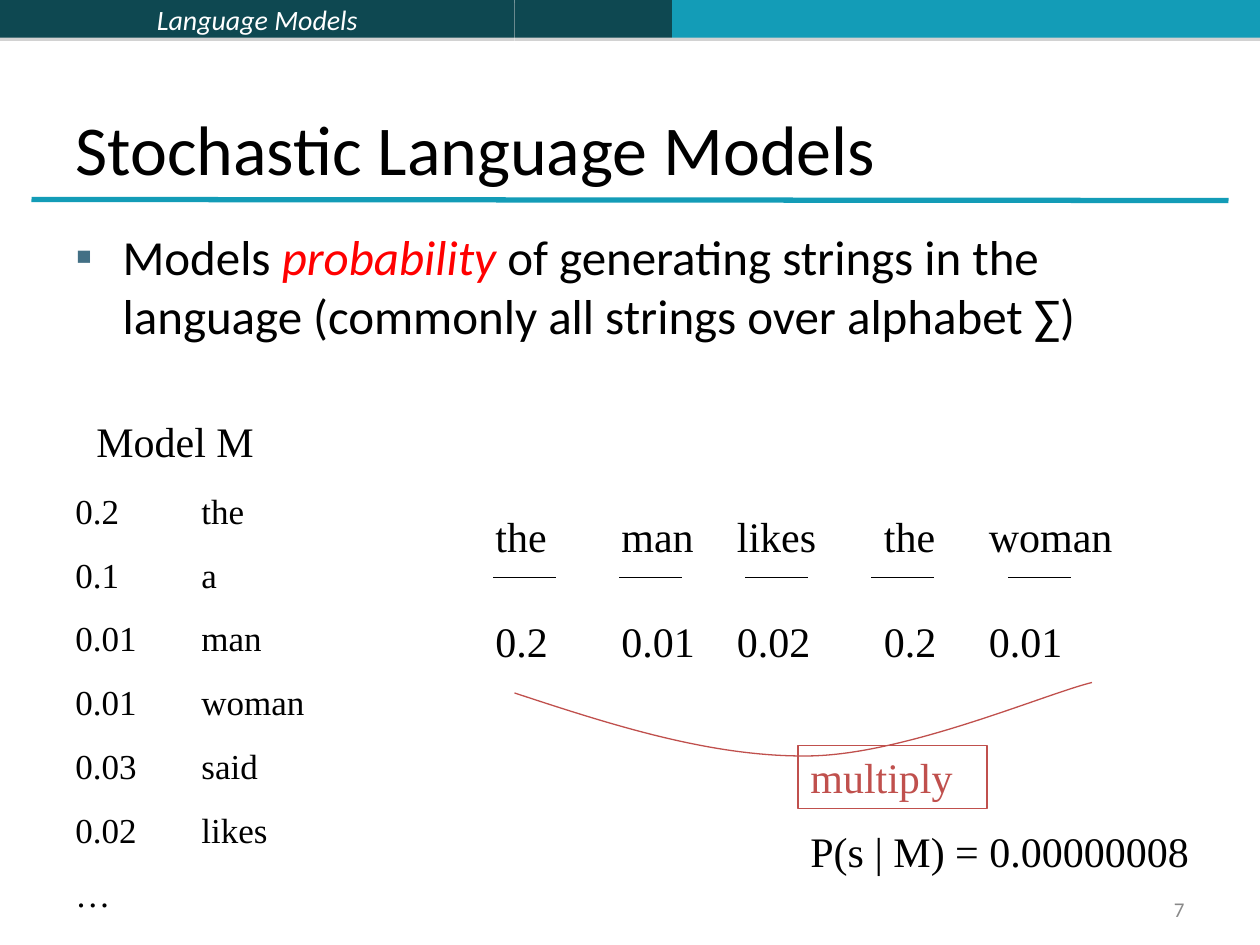
"""Build the slide on stochastic language models."""
from lxml import etree
from pptx import Presentation
from pptx.dml.color import RGBColor
from pptx.enum.shapes import MSO_CONNECTOR, MSO_SHAPE
from pptx.enum.text import MSO_ANCHOR, PP_ALIGN
from pptx.oxml.ns import qn
from pptx.util import Emu, Pt

EMU_PER_PX = 7620
RECTANGLE = MSO_SHAPE.RECTANGLE
STRAIGHT = MSO_CONNECTOR.STRAIGHT
LEFT, CENTER, RIGHT = PP_ALIGN.LEFT, PP_ALIGN.CENTER, PP_ALIGN.RIGHT
TOP, MIDDLE, BOTTOM = MSO_ANCHOR.TOP, MSO_ANCHOR.MIDDLE, MSO_ANCHOR.BOTTOM

BLACK = RGBColor(0x00, 0x00, 0x00)
WHITE = RGBColor(0xFF, 0xFF, 0xFF)
GRAY = RGBColor(0x89, 0x89, 0x89)
SHADOW = RGBColor(0x80, 0x80, 0x80)
DARK_TEAL = RGBColor(0x0E, 0x48, 0x51)
TEAL = RGBColor(0x13, 0x9C, 0xB7)
BULLET = RGBColor(0x43, 0x70, 0x85)
RED = RGBColor(0xFF, 0x00, 0x00)
BRICK = RGBColor(0xC0, 0x50, 0x4D)

SANS, SERIF = "Calibri", "Times New Roman"

HEADER_HEIGHT = 36
HEADER = [(490, DARK_TEAL, "Language Models"), (150, DARK_TEAL, ""), (560, TEAL, "")]
TITLE = "Stochastic Language Models"
BODY = [
    ("Models ", BLACK, False),
    ("probability", RED, True),
    (" of generating strings in the language (commonly all strings over alphabet ∑)", BLACK, False),
]
MODEL = [
    "0.2\tthe", "0.1\ta", "0.01\tman", "0.01\twoman", "0.03\tsaid", "0.02\tlikes", "…",
]
MODEL_TAB = 120
SENTENCE = [
    # left, width, word, probability, underline left
    (460, 80, "the", "0.2", 470),
    (580, 100, "man", "0.01", 590),
    (690, 100, "likes", "0.02", 710),
    (830, 100, "the", "0.2", 830),
    (930, 180, "woman", "0.01", 960),
]
WORD_TOP, UNDERLINE_TOP, PROBABILITY_TOP = 480, 550, 580
UNDERLINE_WIDTH, LINE_HEIGHT = 60, 60
CURVE = [(490, 660), (584, 691), (678, 721), (770, 720), (862, 719), (995, 661), (1040, 650)]


def px(*lengths):
    return [Emu(length * EMU_PER_PX) for length in lengths]


def write(shape, paras, size=24, font=SERIF, color=BLACK, italic=False,
          align=LEFT, anchor=TOP, before=0):
    frame = shape.text_frame
    frame.word_wrap = True
    frame.vertical_anchor = anchor
    for index, spans in enumerate(paras):
        para = frame.add_paragraph() if index else frame.paragraphs[0]
        para.alignment = align
        para.space_before = Pt(before)
        if isinstance(spans, str):
            spans = [(spans, color, italic)]
        for text, span_color, span_italic in spans:
            span = para.add_run()
            span.text = text
            span.font.name = font
            span.font.size = Pt(size)
            span.font.italic = span_italic
            span.font.color.rgb = span_color
    return shape


def add_text(slide, place, paras, **style):
    return write(slide.shapes.add_textbox(*px(*place)), paras, **style)


def add_box(slide, place):
    box = slide.shapes.add_shape(RECTANGLE, *px(*place))
    box.shadow.inherit = False
    return box


def add_line(slide, ends, color, width):
    line = slide.shapes.add_connector(STRAIGHT, *px(*ends))
    line.line.color.rgb = color
    line.line.width = Pt(width)
    etree.SubElement(line._element.spPr, qn("a:effectLst"))


def add_drop_shadow(shape):
    effects = shape._element.spPr.find(qn("a:effectLst"))
    drop = etree.SubElement(effects, qn("a:outerShdw"), dist=str(Pt(1.8)), dir="5400000",
                            rotWithShape="0")
    shade = etree.SubElement(drop, qn("a:srgbClr"), val=str(SHADOW))
    etree.SubElement(shade, qn("a:alpha"), val="35000")


def add_bullet(para):
    properties = para._p.get_or_add_pPr()
    indent = px(45)[0]
    properties.set("marL", str(indent))
    properties.set("indent", str(-indent))
    tint = etree.SubElement(properties, qn("a:buClr"))
    etree.SubElement(tint, qn("a:srgbClr"), val=str(BULLET))
    etree.SubElement(properties, qn("a:buFont"), typeface=SERIF)
    etree.SubElement(properties, qn("a:buChar"), char="▪")


def add_tab_stop(para, position):
    stops = etree.SubElement(para._p.get_or_add_pPr(), qn("a:tabLst"))
    etree.SubElement(stops, qn("a:tab"), pos=str(px(position)[0]), algn="l")


def add_curve(slide, points):
    builder = slide.shapes.build_freeform(*points[0], scale=EMU_PER_PX)
    builder.add_line_segments(points[1:], close=False)
    curve = builder.convert_to_shape()
    curve.shadow.inherit = False
    curve.fill.background()
    curve.line.color.rgb = BRICK
    curve.line.width = Pt(0.75)
    outline = curve._element.xpath(".//a:path")[0]
    segments = outline.findall(qn("a:lnTo"))
    for start in range(0, len(segments), 3):
        bezier = etree.SubElement(outline, qn("a:cubicBezTo"))
        for segment in segments[start:start + 3]:
            bezier.append(segment[0])
            outline.remove(segment)


def main():
    deck = Presentation()
    deck.slide_width, deck.slide_height = px(1200, 900)
    slide = deck.slides.add_slide(deck.slide_layouts[6])

    left = 0
    for width, color, label in HEADER:
        bar = add_box(slide, (left, 0, width, HEADER_HEIGHT))
        bar.fill.solid()
        bar.fill.fore_color.rgb = color
        bar.line.fill.background()
        add_drop_shadow(bar)
        if label:
            write(bar, [label], size=16, font=SANS, color=WHITE, italic=True,
                  align=CENTER, anchor=MIDDLE)
        left += width

    add_line(slide, (30, 190, 1170, 191), TEAL, 3)
    add_text(slide, (860, 850, 280, 32), ["7"], size=12, font=SANS, color=GRAY,
             align=RIGHT, anchor=MIDDLE)
    add_text(slide, (60, 36, 1080, 150), [TITLE], size=40, font=SANS, anchor=BOTTOM)
    body = add_text(slide, (60, 210, 1080, 143), [BODY], size=28, font=SANS, before=7)
    add_bullet(body.text_frame.paragraphs[0])

    add_text(slide, (80, 390, 180, LINE_HEIGHT), ["Model M"])
    model = add_text(slide, (60, 460, 320, 418), MODEL, size=20, before=12.5)
    for para in model.text_frame.paragraphs:
        add_tab_stop(para, MODEL_TAB)

    for left, width, word, probability, start in SENTENCE:
        add_text(slide, (left, WORD_TOP, width, LINE_HEIGHT), [word])
        add_line(slide, (start, UNDERLINE_TOP, start + UNDERLINE_WIDTH, UNDERLINE_TOP), BLACK, 0.75)
        add_text(slide, (left, PROBABILITY_TOP, width, LINE_HEIGHT), [probability])

    add_curve(slide, CURVE)
    product = add_box(slide, (760, 710, 180, LINE_HEIGHT))
    product.fill.background()
    product.line.color.rgb = BRICK
    product.line.width = Pt(0.75)
    write(product, ["multiply"], color=BRICK)
    add_text(slide, (760, 780, 390, LINE_HEIGHT), ["P(s | M) = 0.00000008"])

    deck.save("out.pptx")


if __name__ == "__main__":
    main()
